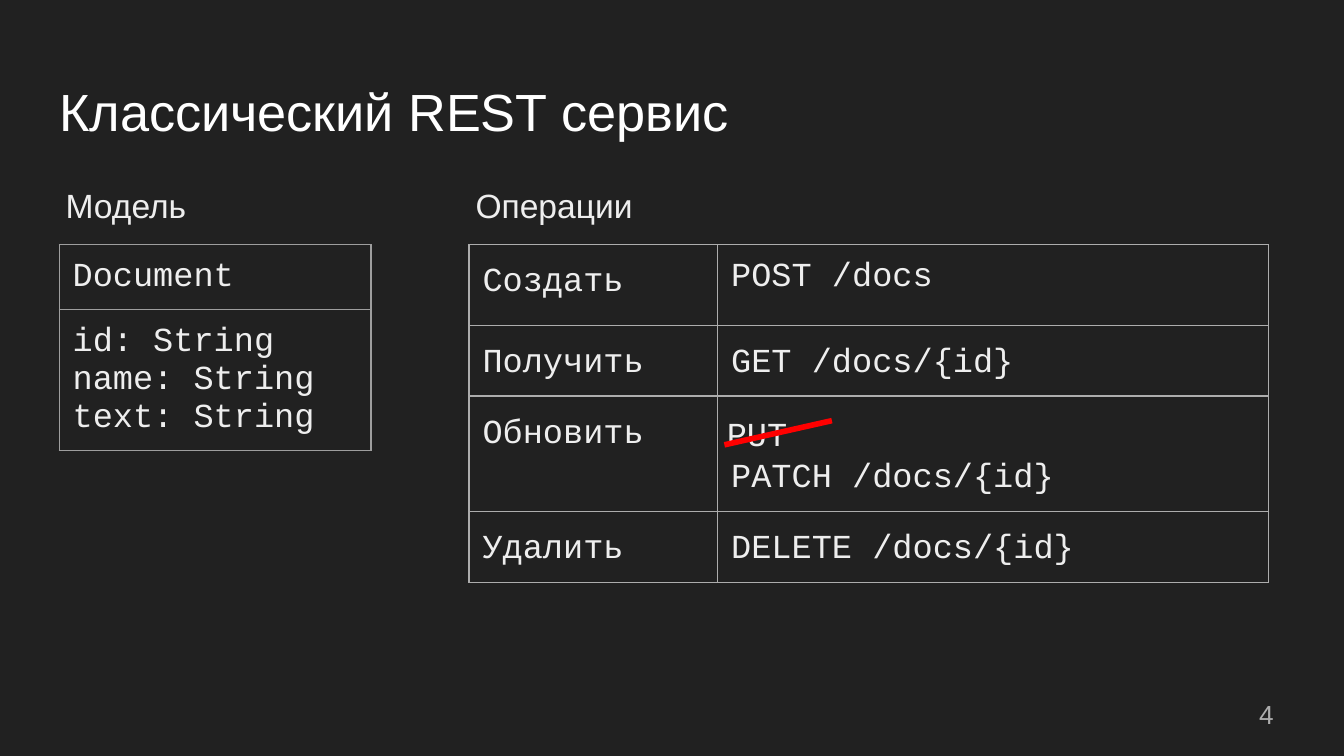
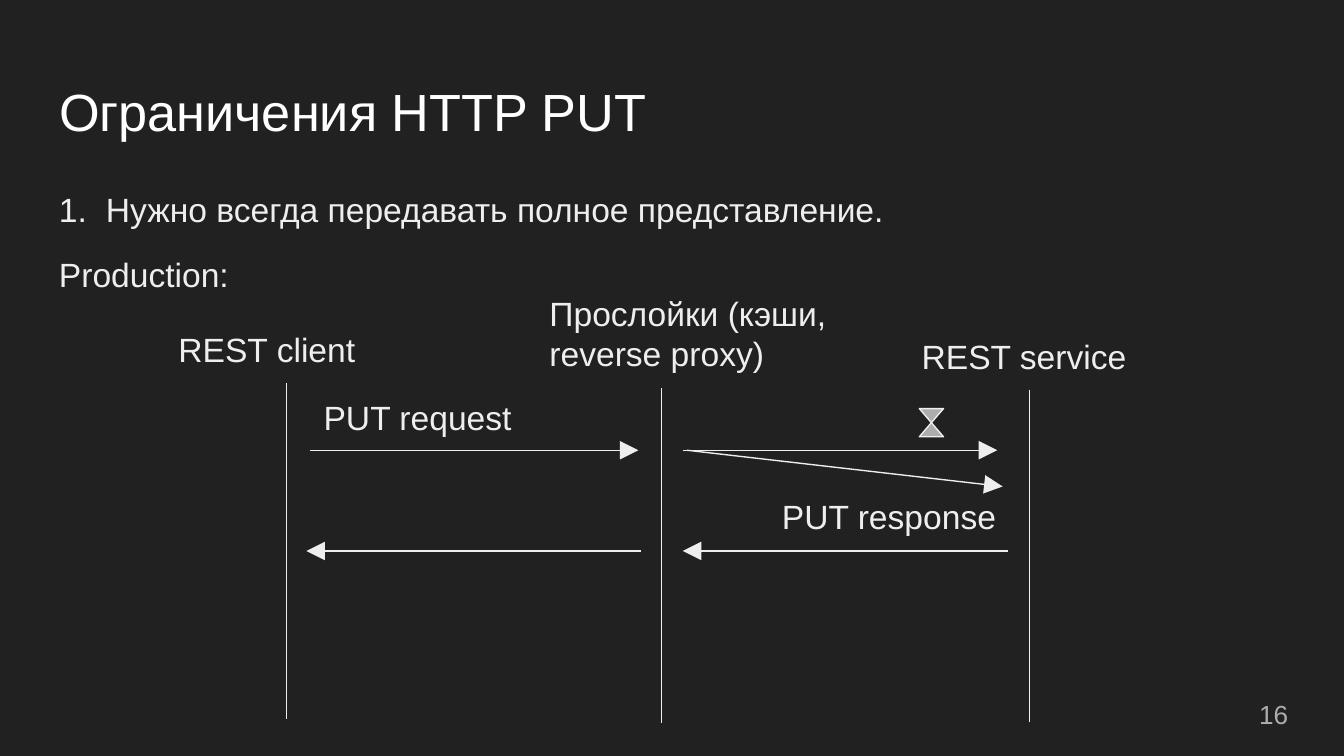
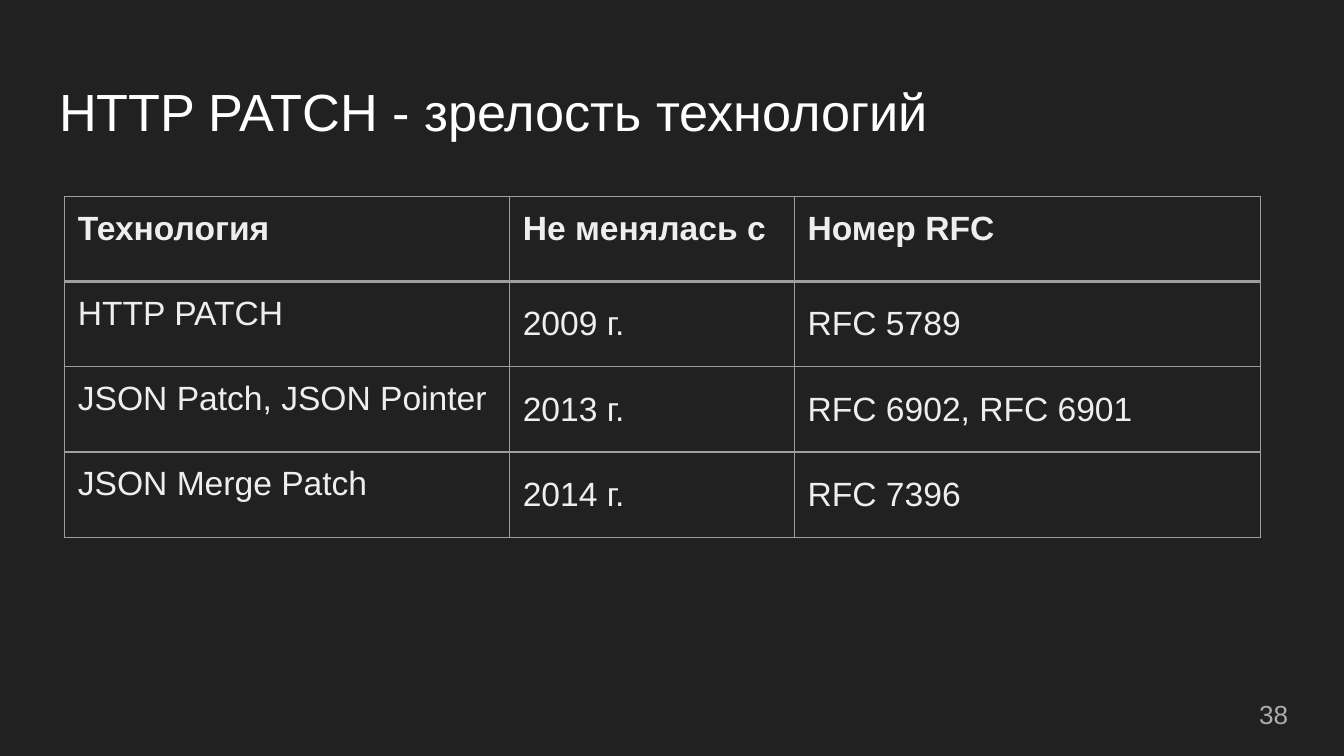
from lxml import etree
from pptx import Presentation
from pptx.dml.color import RGBColor
from pptx.enum import shapes, text
from pptx.oxml.ns import qn
from pptx.util import Inches, Pt

BACK, WHITE, PALE, GREY, RULE, RED = "212121", "FFFFFF", "EEEEEE", "ADADAD", "9E9E9E", "FF0000"
SANS, MONO = "Arial", "Courier New"
TOP, MID, LOW = text.MSO_ANCHOR.TOP, text.MSO_ANCHOR.MIDDLE, text.MSO_ANCHOR.BOTTOM
PAD = Inches(0.1)


def rgb(code):
    return RGBColor.from_string(code)


def style(frame, size=18, color=PALE, font=SANS, bold=False, loose=False):
    for par in frame.paragraphs:
        par.alignment = text.PP_ALIGN.LEFT
        if loose:
            par.line_spacing = 1.15
            par.space_after = Pt(16)
        for run in par.runs:
            run.font.size = Pt(size)
            run.font.name = font
            run.font.bold = bold
            run.font.color.rgb = rgb(color)


def fit(frame, anchor=TOP):
    frame.word_wrap = True
    frame.auto_size = text.MSO_AUTO_SIZE.NONE
    frame.vertical_anchor = anchor
    frame.margin_left = frame.margin_right = PAD
    frame.margin_top = frame.margin_bottom = PAD


def label(slide, words, x, y, w, h=0.51, anchor=TOP, **look):
    box = slide.shapes.add_textbox(Inches(x), Inches(y), Inches(w), Inches(h))
    box.text_frame.text = words
    fit(box.text_frame, anchor)
    style(box.text_frame, **look)
    return box


def hang(par, depth):
    props = par._p.get_or_add_pPr()
    props.set("marL", str(Inches(depth)))
    props.set("indent", str(-Inches(depth)))


def page(deck, words, num):
    slide = deck.slides.add_slide(deck.slide_layouts[5])
    title = slide.shapes.title
    title.left, title.top = Inches(0.34), Inches(0.49)
    title.width, title.height = Inches(9.32), Inches(0.63)
    title.text_frame.text = words
    fit(title.text_frame)
    style(title.text_frame, size=28, color=WHITE)
    label(slide, str(num), 9.27, 5.1, 0.6, 0.43, MID, size=14, color=GREY)
    return slide


def line(slide, x1, y1, x2, y2, color=PALE, width=0.75, arrow=False):
    link = slide.shapes.add_connector(
        shapes.MSO_CONNECTOR.STRAIGHT, Inches(x1), Inches(y1), Inches(x2), Inches(y2))
    link.line.color.rgb = rgb(color)
    link.line.width = Pt(width)
    if arrow:
        etree.SubElement(link.line._ln, qn("a:tailEnd"), type="triangle", w="lg", len="lg")
    etree.SubElement(link._element.spPr, qn("a:effectLst"))


def border(cell, color, above, below):
    props = cell._tc.get_or_add_tcPr()
    sides = {"lnL": 0.75, "lnR": 0.75, "lnT": above, "lnB": below}
    for spot, (side, width) in enumerate(sides.items()):
        edge = etree.Element(qn("a:" + side), w=str(Pt(width)))
        fill = etree.SubElement(edge, qn("a:solidFill"))
        etree.SubElement(fill, qn("a:srgbClr"), val=color)
        props.insert(spot, edge)


def grid(slide, x, y, cols, rows, cells, color=RULE, font=SANS, head=False):
    frame = slide.shapes.add_table(
        len(rows), len(cols), Inches(x), Inches(y), Inches(sum(cols)), Inches(sum(rows)))
    table = frame.table
    table.first_row = table.horz_banding = False
    for col, width in zip(table.columns, cols):
        col.width = Inches(width)
    for i, (row, height) in enumerate(zip(table.rows, rows)):
        row.height = Inches(height)
        above = 2.25 if head and i == 1 else 0.75
        below = 2.25 if head and i == 0 else 0.75
        for cell, (words, anchor, loose) in zip(row.cells, cells[i]):
            cell.text_frame.text = words
            cell.vertical_anchor = anchor
            cell.margin_left = cell.margin_right = PAD
            cell.margin_top = cell.margin_bottom = PAD
            cell.fill.background()
            border(cell, color, above, below)
            style(cell.text_frame, font=font, bold=head and i == 0, loose=loose)


def service(deck):
    slide = page(deck, "Классический REST сервис", 4)
    fields = "id: String\nname: String\ntext: String"
    grid(slide, 0.44, 1.82, [2.32], [0.48, 1.05],
         [[("Document", TOP, False)], [(fields, TOP, False)]], font=MONO)
    calls = [
        [("Создать", TOP, True), ("POST /docs", TOP, False)],
        [("Получить", MID, True), ("GET /docs/{id}", MID, True)],
        [("Обновить", TOP, True), ("PATCH /docs/{id}", LOW, True)],
        [("Удалить", MID, True), ("DELETE /docs/{id}", MID, True)],
    ]
    grid(slide, 3.49, 1.82, [1.85, 4.1], [0.6, 0.52, 0.86, 0.52], calls, GREY, MONO)
    label(slide, "Модель", 0.39, 1.23, 2.42, 0.63, loose=True)
    label(slide, "Операции", 3.44, 1.23, 2.47, 0.63, loose=True)
    label(slide, "PUT", 5.31, 2.97, 0.97, 0.43, font=MONO)
    line(slide, 6.19, 3.13, 5.39, 3.31, RED, 3)


def limits(deck):
    slide = page(deck, "Ограничения HTTP PUT", 16)
    point = label(slide, "1.\tНужно всегда передавать полное представление.",
                  0.34, 1.26, 9.32, 0.48, loose=True)
    hang(point.text_frame.paragraphs[0], 0.35)
    label(slide, "Production:", 0.34, 1.79, 1.68)
    label(slide, "REST client", 1.23, 2.35, 1.8)
    label(slide, "Прослойки (кэши,\nreverse proxy)", 3.99, 2.08, 2.27, 0.82)
    label(slide, "REST service", 6.76, 2.4, 1.8)
    label(slide, "PUT request", 2.31, 2.85, 1.8)
    label(slide, "PUT response", 5.72, 3.59, 1.87)
    for x, y, end in [(2.13, 2.85, 5.35), (4.92, 2.89, 5.38), (7.66, 2.9, 5.37)]:
        line(slide, x, y, x, end)
    ask, reply = 3.35, 4.1
    line(slide, 2.31, ask, 4.75, ask, arrow=True)
    line(slide, 5.08, ask, 7.42, ask, arrow=True)
    line(slide, 5.11, ask, 7.46, 3.62, arrow=True)
    line(slide, 7.5, reply, 5.08, reply, arrow=True)
    line(slide, 4.77, reply, 2.28, reply, arrow=True)
    glass = slide.shapes.add_shape(
        shapes.MSO_SHAPE.FLOWCHART_COLLATE,
        Inches(6.84), Inches(3.04), Inches(0.18), Inches(0.21))
    glass.shadow.inherit = False
    glass.fill.solid()
    glass.fill.fore_color.rgb = rgb(GREY)
    glass.line.color.rgb = rgb(PALE)
    glass.line.width = Pt(0.75)


def status(deck):
    slide = page(deck, "HTTP PATCH - зрелость технологий", 38)
    facts = [
        ("Технология", "Не менялась с", "Номер RFC"),
        ("HTTP PATCH", "2009 г.", "RFC 5789"),
        ("JSON Patch, JSON Pointer", "2013 г.", "RFC 6902, RFC 6901"),
        ("JSON Merge Patch", "2014 г.", "RFC 7396"),
    ]
    cells = [[(words, MID if i and j else TOP, False) for j, words in enumerate(row)]
             for i, row in enumerate(facts)]
    grid(slide, 0.48, 1.46, [3.31, 2.12, 3.47], [2.54 / 4] * 4, cells, head=True)


def main():
    deck = Presentation()
    deck.slide_width = Inches(10)
    deck.slide_height = Inches(10) * 9 // 16
    fill = deck.slide_master.background.fill
    fill.solid()
    fill.fore_color.rgb = rgb(BACK)
    service(deck)
    limits(deck)
    status(deck)
    deck.save("out.pptx")


main()
